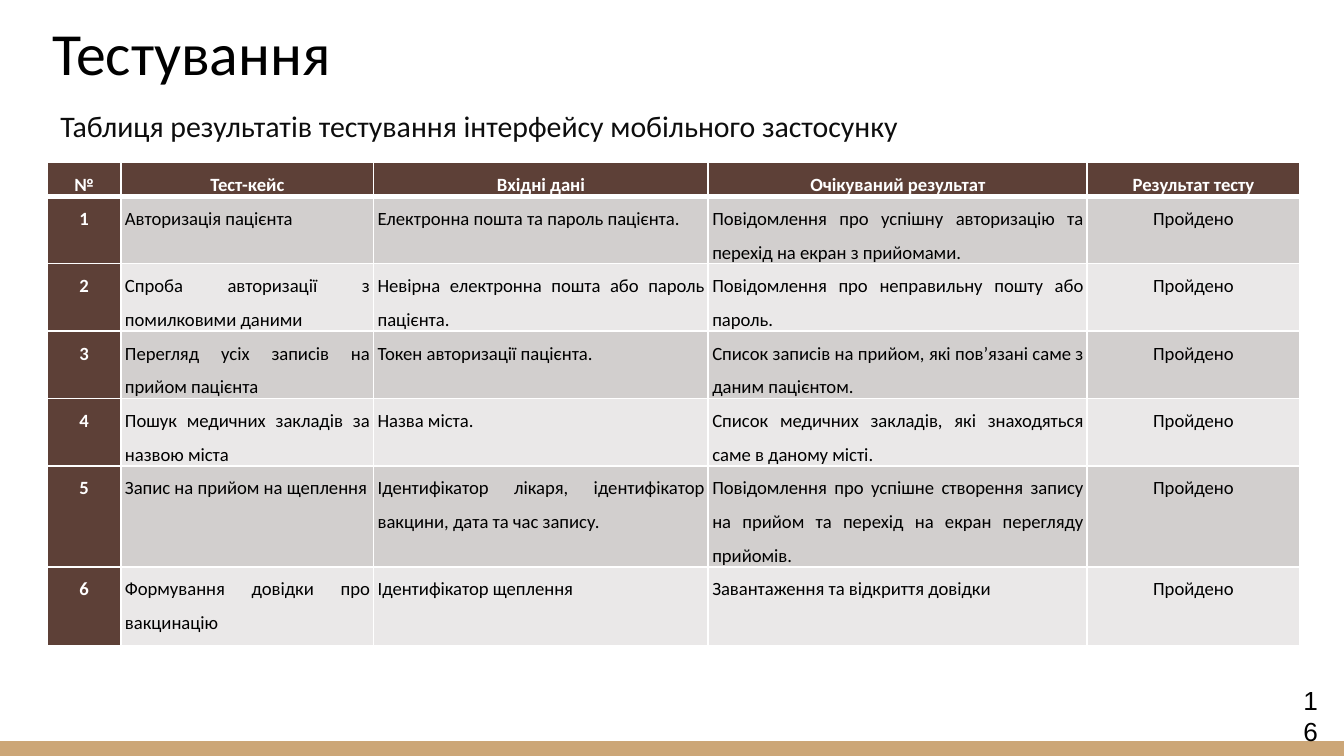
from lxml.etree import SubElement
from pptx import Presentation
from pptx.dml.color import RGBColor
from pptx.enum.shapes import MSO_SHAPE
from pptx.enum.text import MSO_ANCHOR, MSO_AUTO_SIZE, PP_ALIGN
from pptx.oxml.ns import qn
from pptx.util import Inches, Pt

TITLE = "Тестування"
CAPTION = "Таблиця результатів тестування інтерфейсу мобільного застосунку"
PAGE = "16"
HEADER = ["№", "Тест-кейс", "Вхідні дані", "Очікуваний результат", "Результат тесту"]
PASSED = "Пройдено"
CASES = [
    ("Авторизація пацієнта", "Електронна пошта та пароль пацієнта.",
     "Повідомлення про успішну авторизацію та перехід на екран з прийомами."),
    ("Спроба авторизації з помилковими даними",
     "Невірна електронна пошта або пароль пацієнта.",
     "Повідомлення про неправильну пошту або пароль."),
    ("Перегляд усіх записів на прийом пацієнта", "Токен авторизації пацієнта.",
     "Список записів на прийом, які пов’язані саме з даним пацієнтом."),
    ("Пошук медичних закладів за назвою міста", "Назва міста.",
     "Список медичних закладів, які знаходяться саме в даному місті."),
    ("Запис на прийом на щеплення",
     "Ідентифікатор лікаря, ідентифікатор вакцини, дата та час запису.",
     "Повідомлення про успішне створення запису на прийом та перехід на екран "
     "перегляду прийомів."),
    ("Формування довідки про вакцинацію", "Ідентифікатор щеплення",
     "Завантаження та відкриття довідки"),
]
COLS = [0.55, 1.88, 2.49, 2.82, 1.58]
ROWS = [0.22, 0.49, 0.48, 0.47, 0.48, 0.72, 0.59]
WIDTH, LEFT = 10, 0.35
HEIGHT = WIDTH * 9 / 16
BROWN, TAN, BANDS = "5D4037", "CCA677", ("EAE8E8", "D2CFCE")


def rgb(value):
    """Turn a hex string into a colour."""
    return RGBColor.from_string(value)


def style(p, size, color="000000", font="Calibri", bold=False, align=PP_ALIGN.LEFT):
    """Set the font and alignment of a paragraph."""
    p.alignment = align
    p.font.size, p.font.name, p.font.bold = Pt(size), font, bold
    p.font.color.rgb = rgb(color)


def add_bar(s):
    """Draw the strip along the bottom edge."""
    bar = s.shapes.add_shape(MSO_SHAPE.RECTANGLE, 0, Inches(HEIGHT - 0.11),
                             Inches(WIDTH), Inches(0.11))
    bar.shadow.inherit = False
    bar.fill.solid()
    bar.fill.fore_color.rgb = rgb(TAN)
    bar.line.fill.background()


def add_title(s):
    """Place the title in its placeholder."""
    sp = s.shapes.title
    sp.left, sp.top, sp.width, sp.height = map(Inches, (0.29, -0.16, 9.32, 0.91))
    tf = sp.text_frame
    tf.text, tf.vertical_anchor = TITLE, MSO_ANCHOR.BOTTOM
    tf.auto_size = MSO_AUTO_SIZE.NONE
    tf.margin_left = tf.margin_right = tf.margin_top = tf.margin_bottom = Inches(0.1)
    style(tf.paragraphs[0], 32)


def add_text(s, text, box, size, **look):
    """Add a wrapping text box."""
    tf = s.shapes.add_textbox(*map(Inches, box)).text_frame
    tf.word_wrap, tf.text = True, text
    style(tf.paragraphs[0], size, **look)


def set_borders(cell, widths):
    """Give a cell white borders, with widths listed by side."""
    props = cell._tc.get_or_add_tcPr()
    for side, width in widths.items():
        line = SubElement(props, qn(f"a:ln{side}"), w=str(Pt(width)))
        SubElement(SubElement(line, qn("a:solidFill")), qn("a:srgbClr"), val="FFFFFF")


def add_results(s):
    """Add the table of test results."""
    data = [HEADER] + [(str(n), *case, PASSED) for n, case in enumerate(CASES, 1)]
    table = s.shapes.add_table(len(ROWS), len(COLS), Inches(LEFT), Inches(1.21),
                               Inches(sum(COLS)), Inches(sum(ROWS))).table
    for column, width in zip(table.columns, COLS):
        column.width = Inches(width)
    for i, (row, height, texts) in enumerate(zip(table.rows, ROWS, data)):
        row.height = Inches(height)
        for j, (cell, text) in enumerate(zip(row.cells, texts)):
            head = i == 0 or j == 0
            centred = head or j == len(COLS) - 1
            cell.text = text
            cell.margin_left = cell.margin_right = Inches(0.03)
            cell.margin_top = cell.margin_bottom = 0
            set_borders(cell, {"L": 1, "R": 1, "T": 3 if i == 1 else 1,
                               "B": 3 if i == 0 else 1})
            cell.fill.solid()
            cell.fill.fore_color.rgb = rgb(BROWN if head else BANDS[i % 2])
            p = cell.text_frame.paragraphs[0]
            p.line_spacing = 1.5
            style(p, 10, "FFFFFF" if head else "000000", bold=head,
                  align=PP_ALIGN.CENTER if centred else PP_ALIGN.JUSTIFY)


def main():
    """Build the slide and save it."""
    prs = Presentation()
    prs.slide_width, prs.slide_height = Inches(WIDTH), Inches(HEIGHT)
    s = prs.slides.add_slide(prs.slide_layouts[5])
    add_bar(s)
    add_title(s)
    add_text(s, PAGE, (9.6, 5.04, 0.31, 0.34), 14, font="Arial")
    add_results(s)
    add_text(s, CAPTION, (LEFT, 0.75, 9.32, 0.37), 16, color="0D0D0D")
    prs.save("out.pptx")


if __name__ == "__main__":
    main()
